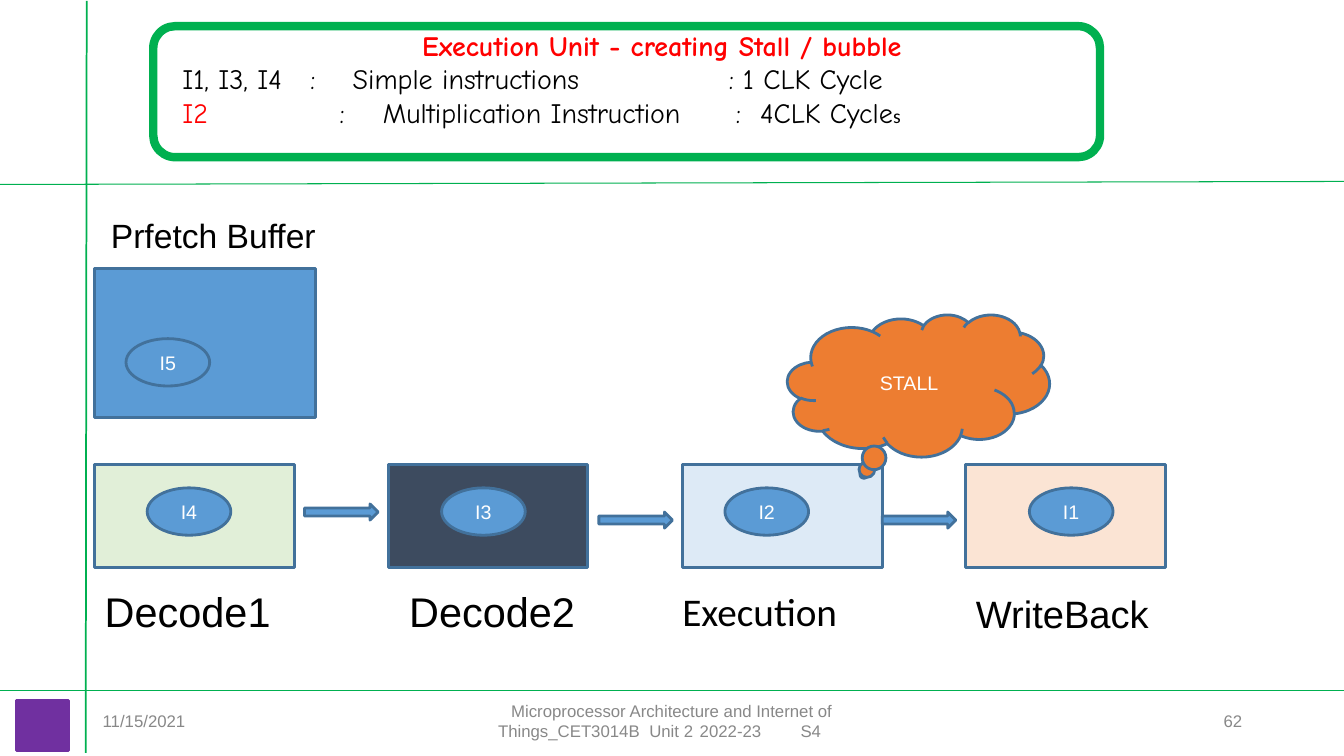
from lxml.etree import SubElement
from pptx import Presentation
from pptx.dml.color import RGBColor
from pptx.enum.shapes import MSO_CONNECTOR, MSO_SHAPE
from pptx.enum.text import MSO_ANCHOR, MSO_AUTO_SIZE, PP_ALIGN
from pptx.oxml.ns import qn
from pptx.util import Inches, Pt

BLACK = RGBColor(0, 0, 0)
WHITE = RGBColor(255, 255, 255)
RED = RGBColor(255, 0, 0)
GREEN = RGBColor(0x00, 0xB0, 0x50)
BLUE = RGBColor(0x5B, 0x9B, 0xD5)
EDGE = RGBColor(0x42, 0x71, 0x9B)
ORANGE = RGBColor(0xED, 0x7D, 0x31)
PURPLE = RGBColor(0x70, 0x30, 0xA0)
GRAY = RGBColor(0x88, 0x88, 0x88)
MINT = RGBColor(0xE1, 0xEF, 0xD8)
SLATE = RGBColor(0x3D, 0x4B, 0x5F)
SKY = RGBColor(0xDD, 0xEA, 0xF6)
PEACH = RGBColor(0xFB, 0xE4, 0xD4)

STAGES = [
    (0.94, MINT, "I4", 0.52, (0, 5.86, 2.08), "Decode1", {"size": 29.6, "space": 0.8}),
    (3.85, SLATE, "I3", 0.53, (0.11, 5.86, 2.08), "Decode2", {"size": 29.6, "space": 0.8}),
    (6.77, SKY, "I2", 0.42, (-0.1, 5.78, 1.76), "Execution", {"size": 28, "font": "Calibri"}),
    (9.58, PEACH, "I1", 0.63, (0, 5.86, 2.08), "WriteBack", {"size": 27.2, "space": 0.9}),
]
ARROWS = [(3.02, 5), (5.94, 5.08), (8.75, 5.08)]
NOTES = [
    ([2.38], [("\tExecution Unit - creating Stall / bubble", {"color": RED, "bold": True})]),
    ([1.27, 1.69, 5.42, 5.56],
     [("I1, I3, I4\t:\tSimple instructions\t:\t1 CLK Cycle", {})]),
    ([1.56, 1.99, 5.49, 5.73],
     [("I2", {"color": RED}),
      ("\t:\tMultiplication Instruction\t:\t4CLK Cycle", {}),
      ("s", {"size": 14, "font": "Calibri"})]),
]


def write(para, text, size=14, color=BLACK, font="Arial", bold=False,
          align=PP_ALIGN.LEFT, space=None):
    para.alignment = align
    if space:
        para.line_spacing = space
    run = para.add_run()
    run.text = text
    run.font.size = Pt(size)
    run.font.name = font
    run.font.bold = bold
    run.font.color.rgb = color


def set_tabs(para, stops):
    props = para._p.get_or_add_pPr()
    tabs = SubElement(props, qn("a:tabLst"))
    for stop in stops:
        SubElement(tabs, qn("a:tab"), pos=str(Inches(stop)), algn="l")


def add_frame(slide, box, anchor=MSO_ANCHOR.TOP):
    frame = slide.shapes.add_textbox(*map(Inches, box)).text_frame
    frame.word_wrap = True
    frame.vertical_anchor = anchor
    return frame


def add_form(slide, kind, box, fill=BLUE, edge=EDGE, width=2, text=None):
    form = slide.shapes.add_shape(kind, *map(Inches, box))
    form.shadow.inherit = False
    if fill is None:
        form.fill.background()
    else:
        form.fill.solid()
        form.fill.fore_color.rgb = fill
    form.line.color.rgb = edge
    form.line.width = Pt(width)
    if text:
        form.text_frame.vertical_anchor = MSO_ANCHOR.MIDDLE
        write(form.text_frame.paragraphs[0], text, color=WHITE, align=PP_ALIGN.CENTER)
    return form


def add_token(slide, left, top, text):
    add_form(slide, MSO_SHAPE.OVAL, (left, top, 0.83, 0.47), text=text)


def add_title(slide, box):
    title = slide.shapes.title
    title.left, title.top, title.width, title.height = map(Inches, box)
    frame = title.text_frame
    frame.auto_size = MSO_AUTO_SIZE.NONE
    frame.vertical_anchor = MSO_ANCHOR.MIDDLE
    write(frame.paragraphs[0], "Prfetch Buffer", size=24)


def add_stage(slide, box, fill, token, inset, spot, name, style):
    left, top, _, _ = box
    shift, base, width = spot
    add_form(slide, MSO_SHAPE.RECTANGLE, box, fill)
    add_token(slide, left + inset, top + 0.23, token)
    frame = add_frame(slide, (left + shift, base, width, 0.55))
    write(frame.paragraphs[0], name, **style)


def add_buffer(slide, box):
    left, top, _, _ = box
    add_form(slide, MSO_SHAPE.RECTANGLE, box)
    add_token(slide, left + 0.31, top + 0.7, "I5")


def add_notes(slide, box):
    left, top, _, _ = box
    frame = add_frame(slide, (left + 0.19, top - 0.03, 10.16, 1.11))
    for index, (stops, runs) in enumerate(NOTES):
        para = frame.add_paragraph() if index else frame.paragraphs[0]
        set_tabs(para, stops)
        for text, style in runs:
            write(para, text, **{"size": 20, "font": "Comic Neue", **style})
    border = add_form(slide, MSO_SHAPE.ROUNDED_RECTANGLE, box, None, GREEN, 6)
    border.adjustments[0] = 0.167


def add_stall(slide, box):
    cloud = add_form(slide, MSO_SHAPE.CLOUD_CALLOUT, box, ORANGE, text="STALL")
    cloud.adjustments[0] = -0.208
    cloud.adjustments[1] = 0.625


def add_footer(slide, box):
    left, top, width, height = box
    ends = [(left, "11/15/2021", PP_ALIGN.LEFT),
            (left + width - 3, "62", PP_ALIGN.RIGHT)]
    for start, text, align in ends:
        frame = add_frame(slide, (start, top, 3, height), MSO_ANCHOR.MIDDLE)
        write(frame.paragraphs[0], text, size=12, color=GRAY, align=align)
    frame = add_frame(slide, (left + 3.5, top, 4.5, height), MSO_ANCHOR.MIDDLE)
    frame.margin_left = Inches(0.52)
    para = frame.paragraphs[0]
    para._p.get_or_add_pPr().set("indent", str(Inches(0.13)))
    set_tabs(para, [1.59, 2.3, 3.15])
    write(para, "Microprocessor Architecture and Internet of "
          "Things_CET3014B\tUnit 2\t2022-23\tS4", size=12, color=GRAY)
    add_form(slide, MSO_SHAPE.RECTANGLE, (0.16, top, 0.52, 0.5), PURPLE, PURPLE)


def add_rule(slide, ends, width):
    rule = slide.shapes.add_connector(MSO_CONNECTOR.STRAIGHT, *map(Inches, ends))
    rule.line.color.rgb = GREEN
    rule.line.width = Pt(width)
    SubElement(rule._element.spPr, qn("a:effectLst"))


def main():
    deck = Presentation()
    deck.slide_width = Inches(13.33)
    deck.slide_height = Inches(7.5)
    slide = deck.slides.add_slide(deck.slide_layouts[5])
    add_title(slide, (1, 1.86, 3.33, 0.94))
    for left, *parts in STAGES:
        add_stage(slide, (left, 4.61, 1.98, 1.02), *parts)
    for left, top in ARROWS:
        add_form(slide, MSO_SHAPE.RIGHT_ARROW, (left, top, 0.73, 0.16))
    add_buffer(slide, (0.94, 2.66, 2.19, 1.48))
    add_stall(slide, (7.81, 3.12, 2.6, 1.41))
    add_footer(slide, (0.92, 6.95, 11.5, 0.4))
    add_rule(slide, (0, 1.83, 13.33, 1.8), 0.75)
    add_rule(slide, (0.86, 0.01, 0.85, 7.47), 1.25)
    add_rule(slide, (0, 6.85, 13.33, 6.85), 1.25)
    add_notes(slide, (1.52, 0.26, 9.39, 1.3))
    deck.save("out.pptx")


if __name__ == "__main__":
    main()
